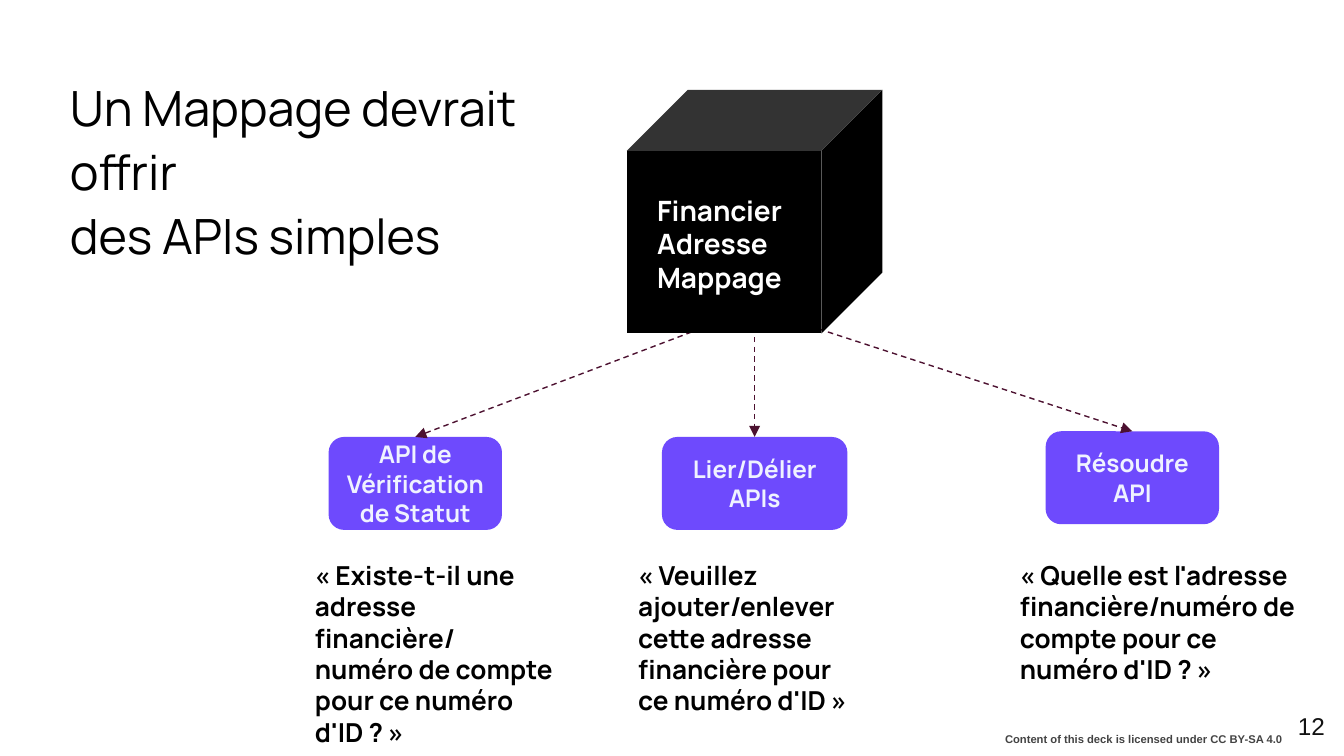
import pptx
import pptx.util
import pptx.dml.color
import pptx.enum.dml
import pptx.enum.shapes
import pptx.enum.text
import pptx.oxml.ns
import lxml.etree

Color = pptx.dml.color.RGBColor
Kind = pptx.enum.shapes.MSO_SHAPE
Align = pptx.enum.text.PP_ALIGN
Anchor = pptx.enum.text.MSO_ANCHOR

BLACK = Color(0x00, 0x00, 0x00)
WHITE = Color(0xFF, 0xFF, 0xFF)
VIOLET = Color(0x6E, 0x4A, 0xFD)
PALE = Color(0xEF, 0xF2, 0xFF)
PLUM = Color(0x4C, 0x11, 0x30)
GRAY = Color(0x43, 0x43, 0x43)
INK = Color(0x12, 0x12, 0x12)

deck = pptx.Presentation()
deck.slide_width = pptx.util.Inches(10)
deck.slide_height = deck.slide_width * 9 // 16
col = deck.slide_width / 100
row = deck.slide_height / 100
slide = deck.slides.add_slide(deck.slide_layouts[6])
shapes = slide.shapes


def place(left, top, width, height):
    return [int(left * col), int(top * row), int(width * col), int(height * row)]


def write(shape, text, size, color, bold=True, align=Align.LEFT,
          anchor=Anchor.TOP, inset=0.1, space=1.0, font="Manrope"):
    frame = shape.text_frame
    frame.word_wrap = True
    frame.vertical_anchor = anchor
    frame.margin_left = frame.margin_right = pptx.util.Inches(inset)
    frame.margin_top = frame.margin_bottom = pptx.util.Inches(inset)
    frame.text = text
    for para in frame.paragraphs:
        para.alignment = align
        para.line_spacing = space
        para.font.name = font
        para.font.size = pptx.util.Pt(size)
        para.font.bold = bold
        para.font.color.rgb = color


credit = shapes.add_textbox(*place(73.4, 96.26, 22.7, 3.74))
write(credit, "Content of this deck is licensed under CC BY-SA 4.0", 6, GRAY,
      align=Align.RIGHT, anchor=Anchor.MIDDLE, inset=0.07, space=0.5, font="Arial")

title = shapes.add_textbox(*place(5.2, 9.6, 36.5, 16.4))
write(title, "Un Mappage devrait offrir\ndes APIs simples", 26, BLACK,
      bold=False, inset=0, space=1.1)

calls = [
    (24.45, 57.8, 12.9, "API de Vérification de Statut", 22.45, 20,
     "« Existe-t-il une adresse financière/ numéro de compte pour ce numéro d'ID ? »"),
    (49.25, 57.8, 13.8, "Lier/Délier\nAPIs", 46.5, 19,
     "« Veuillez ajouter/enlever cette adresse financière pour ce numéro d'ID »"),
    (77.8, 57.05, 12.9, "Résoudre\nAPI", 74.9, 22.7,
     "« Quelle est l'adresse financière/numéro de compte pour ce numéro d'ID ? »"),
]
for left, top, width, label, edge, span, quote in calls:
    button = shapes.add_shape(Kind.FLOWCHART_ALTERNATE_PROCESS,
                              *place(left, top, width, 12.3))
    button.shadow.inherit = False
    button.fill.solid()
    button.fill.fore_color.rgb = VIOLET
    button.line.fill.background()
    write(button, label, 13, PALE, align=Align.CENTER, anchor=Anchor.MIDDLE)

    note = shapes.add_textbox(*place(edge, 72.2, span, 20.3))
    write(note, quote, 14, BLACK)

    arrow = shapes.add_connector(pptx.enum.shapes.MSO_CONNECTOR.STRAIGHT,
                                 *place(56.15, 40.75, 56.15, top))
    arrow.end_connect(button, 0)
    arrow.line.color.rgb = PLUM
    arrow.line.width = pptx.util.Pt(0.75)
    arrow.line.dash_style = pptx.enum.dml.MSO_LINE.DASH
    props = arrow._element.spPr
    stroke = props.find(pptx.oxml.ns.qn("a:ln"))
    lxml.etree.SubElement(stroke, pptx.oxml.ns.qn("a:tailEnd"), type="triangle")
    lxml.etree.SubElement(props, pptx.oxml.ns.qn("a:effectLst"))

cube = shapes.add_shape(Kind.CUBE, *place(46.65, 11.9, 19, 32.2))
cube.adjustments[0] = 0.25
cube.shadow.inherit = False
cube.fill.solid()
cube.fill.fore_color.rgb = BLACK
cube.line.fill.background()

name = shapes.add_textbox(*place(47.9, 23.8, 12.1, 17.1))
write(name, "Financier\nAdresse\nMappage", 15, WHITE)

page = shapes.add_textbox(*place(93.55, 92.3, 6, 7.7))
write(page, "12", 13, INK, bold=False, align=Align.RIGHT, font="Arial")

deck.save("out.pptx")
